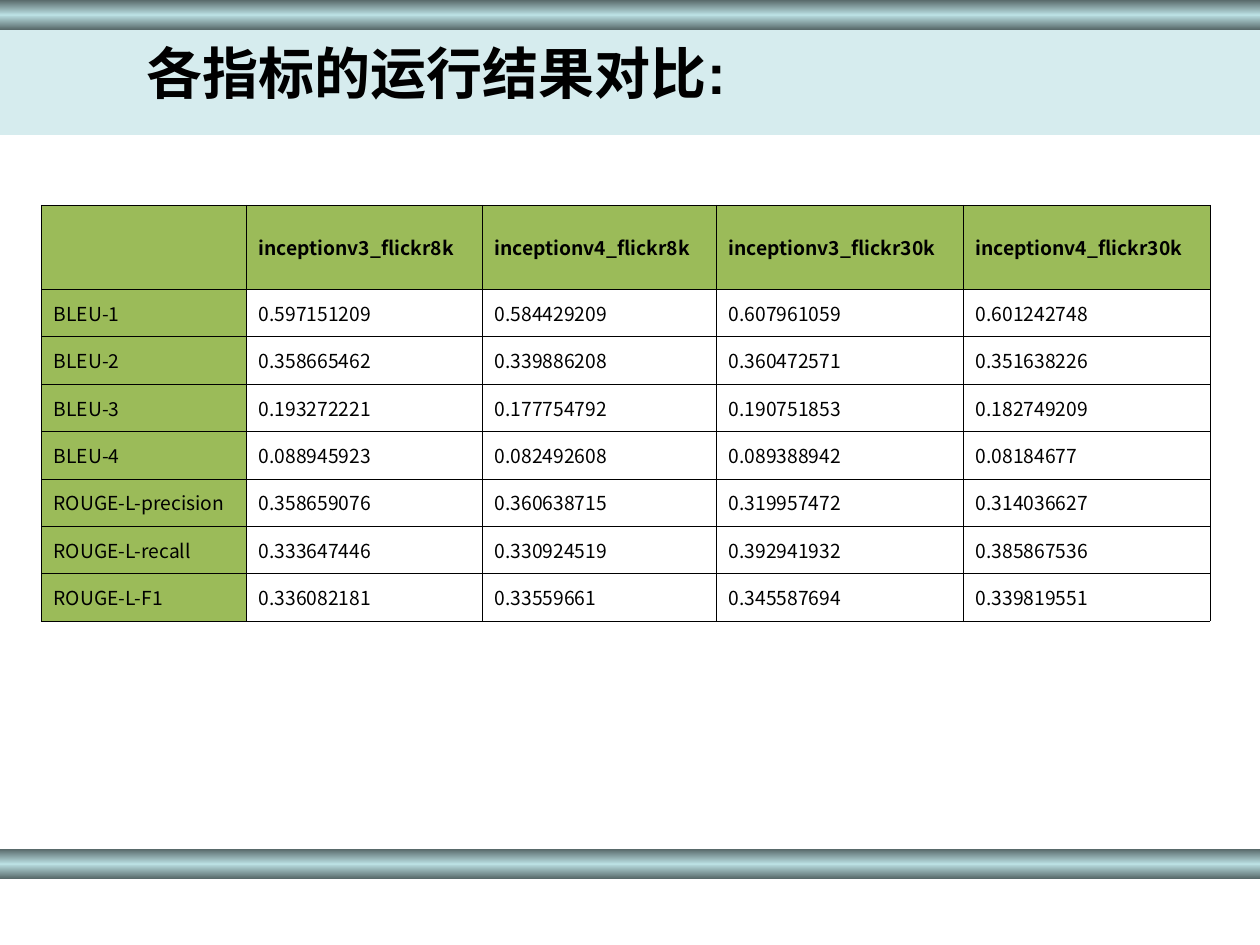
from copy import deepcopy

from lxml.etree import SubElement
from pptx import Presentation
from pptx.dml.color import RGBColor
from pptx.enum.shapes import MSO_SHAPE
from pptx.enum.text import MSO_ANCHOR as ANCHOR
from pptx.oxml.ns import qn
from pptx.util import Emu, Pt

PX_PER_INCH = 126
CJK_FONT = "Noto Sans CJK SC"
BLACK, GREEN, TEAL, DARK_TEAL = "000000", "9BBB59", "BBE0E3", "576869"

HEADER = ["", "inceptionv3_flickr8k", "inceptionv4_flickr8k",
          "inceptionv3_flickr30k", "inceptionv4_flickr30k"]
SCORES = [
    ["BLEU-1", "0.597151209", "0.584429209", "0.607961059", "0.601242748"],
    ["BLEU-2", "0.358665462", "0.339886208", "0.360472571", "0.351638226"],
    ["BLEU-3", "0.193272221", "0.177754792", "0.190751853", "0.182749209"],
    ["BLEU-4", "0.088945923", "0.082492608", "0.089388942", "0.08184677"],
    ["ROUGE-L-precision", "0.358659076", "0.360638715", "0.319957472", "0.314036627"],
    ["ROUGE-L-recall", "0.333647446", "0.330924519", "0.392941932", "0.385867536"],
    ["ROUGE-L-F1", "0.336082181", "0.33559661", "0.345587694", "0.339819551"],
]
COL_WIDTHS = [205, 236, 234, 247, 247]
TABLE_HEIGHT, HEADER_HEIGHT = 416, 84


def px(n):
    return Emu(round(n * 914400 / PX_PER_INCH))


def rgb(color):
    return RGBColor.from_string(color)


def add_rect(slide, *box):
    sp = slide.shapes.add_shape(MSO_SHAPE.RECTANGLE, *map(px, box))
    sp.shadow.inherit = False
    sp.line.fill.background()
    return sp


def add_metal_bar(slide, top):
    """Full-width bar, dark at both edges and light in the middle."""
    sp = add_rect(slide, 0, top, 1260, 30)
    sp.fill.gradient()
    sp.fill.gradient_angle = 90
    stops = sp._element.spPr.find(qn("a:gradFill")).find(qn("a:gsLst"))
    stops.append(deepcopy(stops[0]))
    colors = [DARK_TEAL, TEAL, DARK_TEAL]
    for stop, position, color in zip(sp.fill.gradient_stops, [0, 0.5, 1], colors):
        stop.position = position
        stop.color.rgb = rgb(color)


def add_title_band(slide):
    sp = add_rect(slide, 0, 20, 1260, 115)
    sp.fill.solid()
    sp.fill.fore_color.rgb = rgb(TEAL)
    color = sp._element.spPr.find(qn("a:solidFill"))[0]
    SubElement(color, qn("a:alpha"), val="60000")


def add_run(p, text, size, font, bold):
    r = p.add_run()
    r.text = text
    r.font.size = Pt(size)
    r.font.bold = bold
    r.font.color.rgb = rgb(BLACK)
    r.font.name = font
    SubElement(r._r.get_or_add_rPr(), qn("a:ea"), typeface=CJK_FONT)


def add_title(slide, text):
    tf = slide.shapes.add_textbox(px(134), px(48), px(992), px(48)).text_frame
    tf.word_wrap = True
    tf.vertical_anchor = ANCHOR.MIDDLE
    add_run(tf.paragraphs[0], text, 32, "Arial", True)


def format_cell(cell, text, is_header, is_label):
    cell.vertical_anchor = ANCHOR.MIDDLE
    if text:
        add_run(cell.text_frame.paragraphs[0], text, 11, CJK_FONT, is_header)
    # Borders come before the fill in the cell properties
    tcPr = cell._tc.get_or_add_tcPr()
    for side in ("lnL", "lnR", "lnT", "lnB"):
        ln = SubElement(tcPr, qn(f"a:{side}"), w=str(Pt(0.23)))
        SubElement(SubElement(ln, qn("a:solidFill")), qn("a:srgbClr"), val=BLACK)
    if is_header or is_label:
        cell.fill.solid()
        cell.fill.fore_color.rgb = rgb(GREEN)
    else:
        cell.fill.background()


def add_score_table(slide):
    rows = [HEADER] + SCORES
    table = slide.shapes.add_table(
        len(rows), len(HEADER), px(41), px(205),
        px(sum(COL_WIDTHS)), px(TABLE_HEIGHT)).table
    table.first_row = table.horz_banding = False
    for column, width in zip(table.columns, COL_WIDTHS):
        column.width = px(width)
    score_height = (TABLE_HEIGHT - HEADER_HEIGHT) / len(SCORES)
    for i, values in enumerate(rows):
        table.rows[i].height = px(score_height if i else HEADER_HEIGHT)
        for j, value in enumerate(values):
            format_cell(table.cell(i, j), value, i == 0, j == 0)


def main():
    prs = Presentation()
    prs.slide_width, prs.slide_height = px(1260), px(945)
    slide = prs.slides.add_slide(prs.slide_layouts[6])

    # Background bars and title band
    add_metal_bar(slide, 849)
    add_title_band(slide)
    add_metal_bar(slide, 0)

    # Content
    add_title(slide, "各指标的运行结果对比:")
    add_score_table(slide)
    prs.save("out.pptx")


if __name__ == "__main__":
    main()
